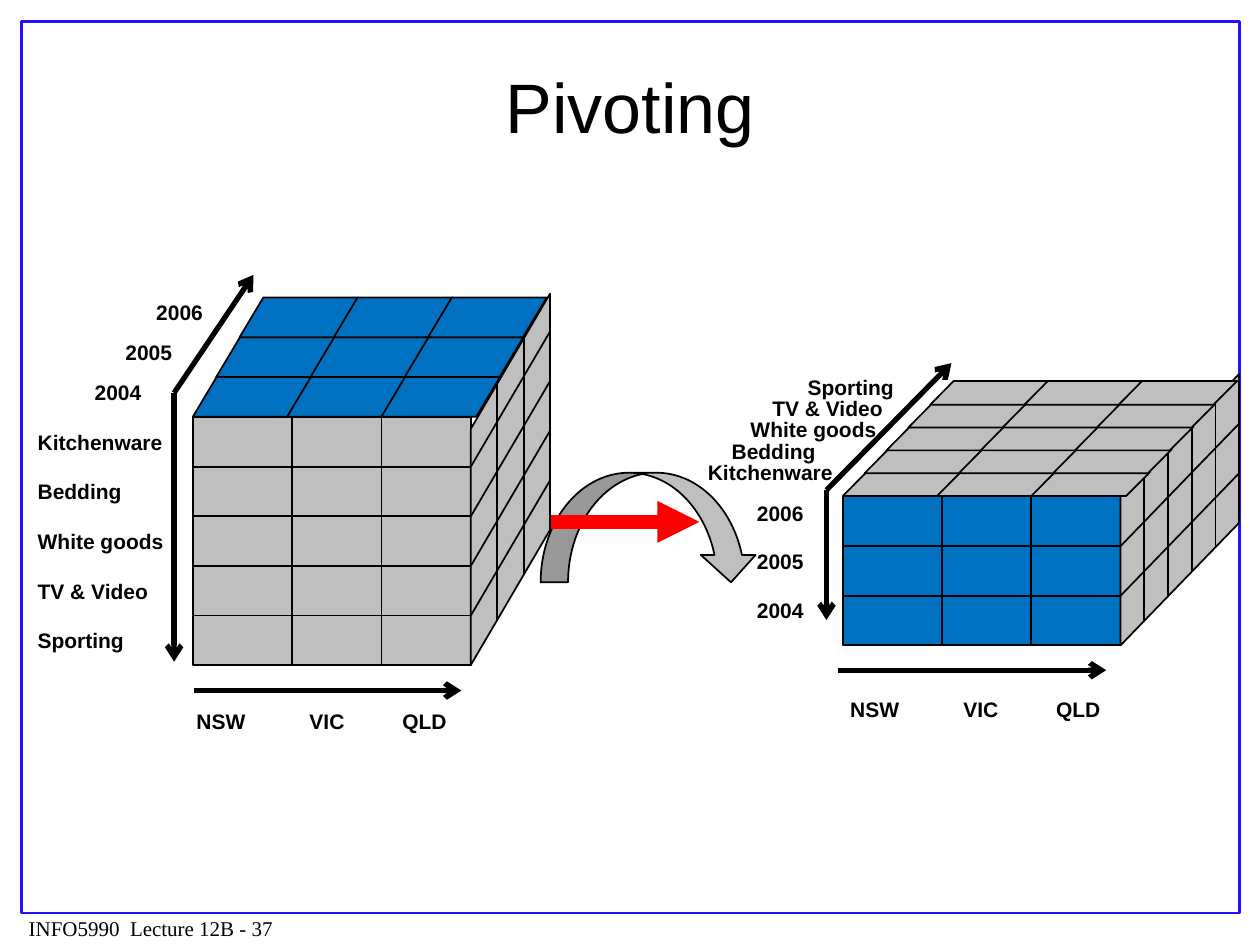
"""Build the slide on pivoting a data cube."""
from dataclasses import dataclass
from typing import Any

from lxml.etree import SubElement
from pptx import Presentation
from pptx.dml.color import RGBColor
from pptx.enum.shapes import MSO_CONNECTOR, MSO_SHAPE
from pptx.enum.text import MSO_ANCHOR, PP_ALIGN
from pptx.oxml.ns import qn
from pptx.util import Cm, Pt


@dataclass(frozen=True)
class Theme:
    black: str = "000000"
    gray: str = "BFBFBF"
    blue: str = "0070C0"
    red: str = "FF0000"
    frame: str = "2211FD"
    sans: str = "Arial"
    serif: str = "Times New Roman"
    head: int = 40
    body: int = 12
    thin: float = 1
    edge: float = 1.5
    axis: float = 3
    bold: float = 8


def write(frame, text, font, size, color, bold=False, align=PP_ALIGN.LEFT, tabs=()):
    para = frame.paragraphs[0]
    para.alignment = align
    run = para.add_run()
    run.text = text
    run.font.name = font
    run.font.size = Pt(size)
    run.font.bold = bold
    run.font.color.rgb = RGBColor.from_string(color)
    if tabs:
        stops = SubElement(para._p.get_or_add_pPr(), qn("a:tabLst"))
        for tab in tabs:
            SubElement(stops, qn("a:tab"), pos=str(Cm(tab)), algn="l")


@dataclass
class Board:
    slide: Any
    theme: Theme

    def shape(self, kind, x, y, w, h, fill=None, line=None, width=None):
        item = self.slide.shapes.add_shape(kind, Cm(x), Cm(y), Cm(w), Cm(h))
        item.shadow.inherit = False
        if fill:
            item.fill.solid()
            item.fill.fore_color.rgb = RGBColor.from_string(fill)
        else:
            item.fill.background()
        item.line.color.rgb = RGBColor.from_string(line or self.theme.black)
        item.line.width = Pt(width or self.theme.thin)
        return item

    def line(self, x1, y1, x2, y2, color=None, width=None, tip=None):
        item = self.slide.shapes.add_connector(
            MSO_CONNECTOR.STRAIGHT, Cm(x1), Cm(y1), Cm(x2), Cm(y2))
        item.line.color.rgb = RGBColor.from_string(color or self.theme.black)
        item.line.width = Pt(width or self.theme.thin)
        props = item._element.spPr
        if tip:
            SubElement(props.get_or_add_ln(), qn("a:tailEnd"), type=tip)
        SubElement(props, qn("a:effectLst"))

    def arrow(self, *ends):
        self.line(*ends, width=self.theme.axis, tip="arrow")

    def text(self, text, x, y, w=3.66, h=0.76, **form):
        frame = self.slide.shapes.add_textbox(Cm(x), Cm(y), Cm(w), Cm(h)).text_frame
        frame.word_wrap = True
        frame.vertical_anchor = MSO_ANCHOR.MIDDLE
        base = dict(font=self.theme.sans, size=self.theme.body,
                    color=self.theme.black, bold=True)
        write(frame, text, **{**base, **form})

    def side(self, x, y, run, rise, rows, depth, gap):
        tall = rows - gap + rise
        left = x + (run - tall) / 2
        top = y + gap - rise + (tall - run) / 2
        face = self.shape(MSO_SHAPE.PARALLELOGRAM, left, top, tall, run, self.theme.gray)
        face.adjustments[0] = rise / run
        face.rotation = 270
        face._element.spPr.find(qn("a:xfrm")).set("flipH", "1")
        for i in range(1, depth):
            across, up = x + i * run / depth, y + gap - i * rise / depth
            self.line(across, up, across, up + rows - gap)
        for i in range(1, rows):
            self.line(x + run, y + i - rise, x, y + i)

    def cube(self, x, y, rows, depth, front, top, step, slab, run, rise, gap=0):
        for row in range(rows):
            for left, wide in ((0, 2), (2, 1.8), (3.8, 1.8)):
                self.shape(MSO_SHAPE.RECTANGLE, x + left, y + row, wide, 1, front)
        self.side(x + 5.6, y, run, rise, rows, depth, gap)
        dx, dy = step
        for row in range(depth):
            for left in (0, 1.9, 3.8):
                self.shape(MSO_SHAPE.FLOWCHART_DATA, x + left + row * dx,
                           y - 0.01 - slab - row * dy, 2.39, slab, top)


def main():
    deck = Presentation()
    deck.slide_width, deck.slide_height = Cm(25.4), Cm(19.05)
    look = Theme()
    board = Board(deck.slides.add_slide(deck.slide_layouts[6]), look)

    board.text("INFO5990  Lecture 12B - 37", 0.33, 18.34, 7.16,
               font=look.serif, bold=False)
    board.shape(MSO_SHAPE.RECTANGLE, 0.43, 0.43, 24.56, 17.98,
                line=look.frame, width=look.edge)
    board.text("Pivoting", 1.9, 0.53, 21.6, 3.18, size=look.head, bold=False,
               align=PP_ALIGN.CENTER)
    board.shape(MSO_SHAPE.CURVED_DOWN_ARROW, 10.9, 9.53, 4.39, 2.21, look.gray)
    board.line(10.9, 10.52, 14.1, 10.52, look.red, look.bold, "triangle")

    board.cube(3.89, 8.41, 5, 3, look.gray, look.blue, step=(0.47, 0.8), slab=0.8,
               run=1.6, rise=2.73, gap=0.24)
    board.cube(16.99, 10.01, 3, 5, look.blue, look.gray, step=(0.44, 0.46), slab=0.48,
               run=2.39, rise=2.47)

    for i, year in enumerate(("2006", "2005", "2004")):
        board.text(year, 2.9 - 0.62 * i, 5.92 + 0.8 * i)
        board.text(year, 15.01, 9.96 + 0.98 * i)

    goods = ("Kitchenware", "Bedding", "White goods", "TV & Video", "Sporting")
    lefts = (14.02, 14.5, 14.88, 15.32, 16.03)
    for i, (name, left) in enumerate(zip(goods, lefts)):
        board.text(name, 0.51, 8.53 + i)
        board.text(name, left, 9.14 - 0.43 * i)

    for left, top in ((3.71, 14.15), (16.89, 13.92)):
        board.text("NSW\tVIC\tQLD", left, top, 6, tabs=(2.28, 4.15))

    for ends in ((3.51, 7.92, 5.11, 5.54), (3.51, 7.92, 3.51, 13.34),
                 (3.91, 13.92, 9.3, 13.92), (16.66, 9.88, 19.18, 7.32),
                 (16.66, 9.88, 16.66, 12.5), (16.89, 13.51, 22.3, 13.51)):
        board.arrow(*ends)

    deck.save("out.pptx")


if __name__ == "__main__":
    main()
